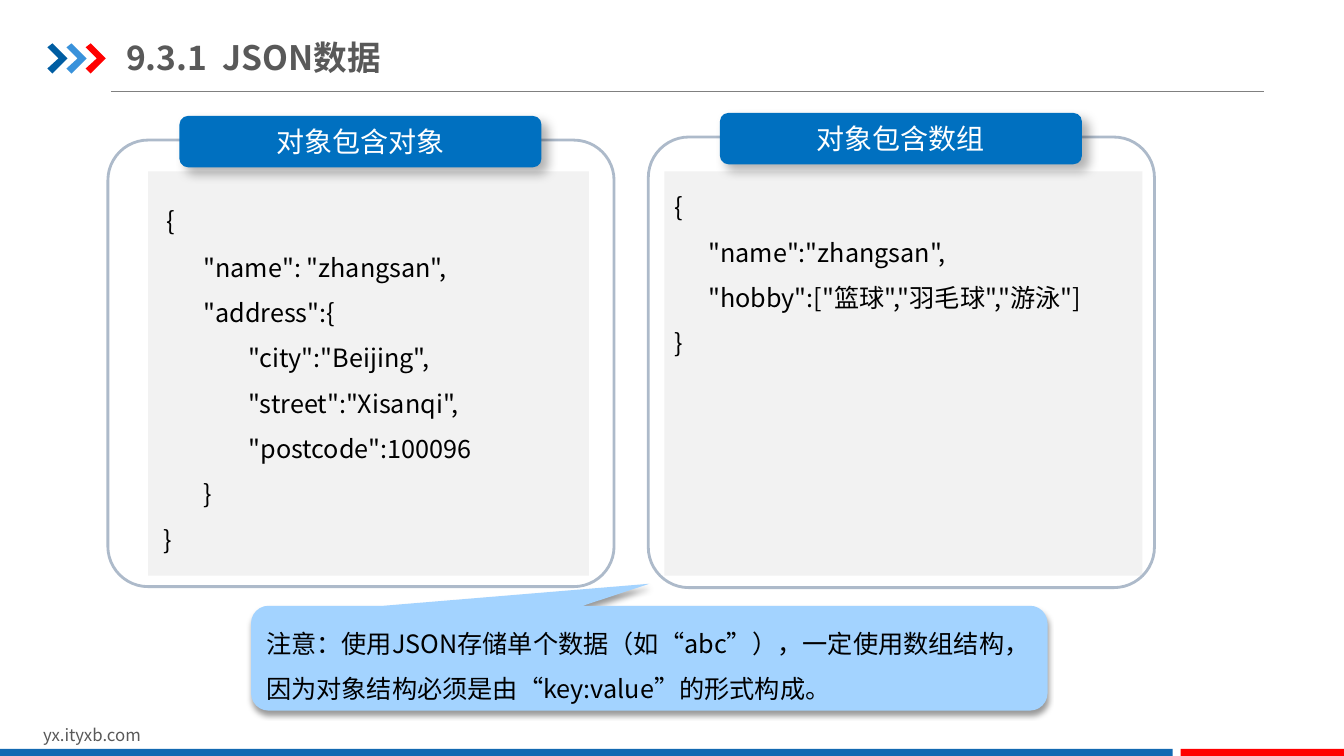
from dataclasses import dataclass
from typing import Optional

from lxml.etree import SubElement
from pptx import Presentation
from pptx.dml.color import RGBColor
from pptx.enum.shapes import MSO_CONNECTOR, MSO_SHAPE as SHAPE
from pptx.enum.text import MSO_ANCHOR as ANCHOR, MSO_AUTO_SIZE, PP_ALIGN as ALIGN
from pptx.oxml.ns import qn
from pptx.shapes.autoshape import Shape
from pptx.slide import Slide
from pptx.text.text import TextFrame
from pptx.util import Emu, Pt

PX = 9144  # 100 px to the inch
SANS, SERIF = "Noto Sans CJK SC", "Times New Roman"

BLACK = RGBColor(0x00, 0x00, 0x00)
WHITE = RGBColor(0xFF, 0xFF, 0xFF)
GREY = RGBColor(0x59, 0x59, 0x59)
RULE = RGBColor(0x80, 0x80, 0x80)
PANEL = RGBColor(0xF2, 0xF2, 0xF2)
FRAME = RGBColor(0xAD, 0xBA, 0xCA)
BADGE = RGBColor(0x00, 0x70, 0xC0)
NOTE = RGBColor(0xA3, 0xD3, 0xFF)
NAVY = RGBColor(0x00, 0x5D, 0xA2)
SKY = RGBColor(0x39, 0x92, 0xDB)
RED = RGBColor(0xFF, 0x00, 0x00)
BAR = RGBColor(0x13, 0x69, 0xB2)


@dataclass(frozen=True)
class Box:
    left: int
    top: int
    width: int
    height: int

    def emu(self) -> tuple[Emu, ...]:
        return tuple(Emu(v * PX) for v in (self.left, self.top, self.width, self.height))


@dataclass(frozen=True)
class Shadow:
    alpha: int  # percent
    blur: int  # points
    dist: int  # points
    angle: int  # degrees


@dataclass(frozen=True)
class Example:
    heading: str
    frame: Box
    panel: Box
    code: str
    lead: str = ""  # large serif space before the first brace


EXAMPLES = [
    Example("对象包含对象", Box(107, 139, 502, 443), Box(147, 170, 437, 401),
            """{
        "name": "zhangsan",
        "address":{
                "city":"Beijing",
                "street":"Xisanqi",
                "postcode":100096
        }
 }""", lead=" "),
    Example("对象包含数组", Box(643, 136, 502, 447), Box(659, 170, 474, 401),
            """{
      "name":"zhangsan",
      "hobby":["篮球","羽毛球","游泳"]
}"""),
]
NOTE_TEXT = "注意：使用JSON存储单个数据（如“abc”），一定使用数组结构，因为对象结构必须是由“key:value”的形式构成。"
CHEVRON = [(0, 4), (5, 0), (20, 15), (5, 30), (0, 25), (11, 15)]


def write(tf: TextFrame, text: str, *, size: int, color: RGBColor, bold: bool = False,
          align: ALIGN = ALIGN.LEFT, anchor: ANCHOR = ANCHOR.TOP,
          spacing: Optional[float] = None, lead: str = "") -> None:
    tf.word_wrap = True
    tf.auto_size = MSO_AUTO_SIZE.NONE
    tf.vertical_anchor = anchor
    for i, line in enumerate(text.split("\n")):
        p = tf.add_paragraph() if i else tf.paragraphs[0]
        p.alignment = align
        if spacing:
            p.line_spacing = spacing
        if lead and i == 0:
            r = p.add_run()
            r.text = lead
            r.font.name, r.font.size = SERIF, Pt(24)
        r = p.add_run()
        r.text = line
        r.font.name, r.font.size, r.font.bold = SANS, Pt(size), bold
        r.font.color.rgb = color
        SubElement(r.font._element, qn("a:ea"), typeface=SANS)


def style(s: Shape, fill: Optional[RGBColor] = None, line: Optional[RGBColor] = None,
          shadow: Optional[Shadow] = None) -> Shape:
    if fill is None:
        s.fill.background()
    else:
        s.fill.solid()
        s.fill.fore_color.rgb = fill
    if line is None:
        s.line.fill.background()
    else:
        s.line.color.rgb = line
        s.line.width = Pt(2)
    s.shadow.inherit = False
    if shadow:
        effects = s._element.spPr.find(qn("a:effectLst"))
        outer = SubElement(effects, qn("a:outerShdw"), blurRad=str(Pt(shadow.blur)),
                           dist=str(Pt(shadow.dist)), dir=str(shadow.angle * 60000),
                           algn="tl", rotWithShape="0")
        color = SubElement(outer, qn("a:srgbClr"), val=str(BLACK))
        SubElement(color, qn("a:alpha"), val=str(shadow.alpha * 1000))
    return s


def add_box(slide: Slide, kind: SHAPE, box: Box, **look) -> Shape:
    return style(slide.shapes.add_shape(kind, *box.emu()), **look)


def add_header(slide: Slide) -> None:
    title = slide.shapes.title
    title.left, title.top, title.width, title.height = Box(125, 29, 590, 55).emu()
    tf = title.text_frame
    tf.margin_left = tf.margin_right = 0
    write(tf, "9.3.1  JSON数据", size=24, color=GREY, bold=True, anchor=ANCHOR.MIDDLE)

    rule = slide.shapes.add_connector(MSO_CONNECTOR.STRAIGHT, *(Emu(v * PX) for v in (110, 91, 1254, 91)))
    rule.line.color.rgb = RULE
    rule.line.width = Pt(0.75)
    SubElement(rule._element.spPr, qn("a:effectLst"))

    for i, color in enumerate((NAVY, SKY, RED)):
        points = [(47 + 19 * i + x, 43 + y) for x, y in CHEVRON]
        builder = slide.shapes.build_freeform(*points[0], scale=PX)
        builder.add_line_segments(points[1:], close=True)
        style(builder.convert_to_shape(), fill=color)


def add_footer(slide: Slide) -> None:
    tf = slide.shapes.add_textbox(*Box(33, 714, 318, 30).emu()).text_frame
    write(tf, "yx.ityxb.com", size=12, color=GREY)
    add_box(slide, SHAPE.RECTANGLE, Box(0, 743, 1163, 9), fill=BAR)
    add_box(slide, SHAPE.RECTANGLE, Box(1171, 743, 163, 9), fill=RED)


def add_code(slide: Slide, ex: Example) -> None:
    s = add_box(slide, SHAPE.RECTANGLE, ex.panel, fill=PANEL)
    write(s.text_frame, ex.code, size=18, color=BLACK, spacing=1.5, lead=ex.lead)


def add_note(slide: Slide) -> None:
    s = add_box(slide, SHAPE.ROUNDED_RECTANGULAR_CALLOUT, Box(249, 601, 790, 104),
                fill=NOTE, shadow=Shadow(40, 4, 3, 90))
    s.adjustments[0], s.adjustments[1] = 0, -0.71
    write(s.text_frame, NOTE_TEXT, size=18, color=BLACK, spacing=1.5, anchor=ANCHOR.MIDDLE)


def add_frame(slide: Slide, ex: Example) -> None:
    s = add_box(slide, SHAPE.ROUNDED_RECTANGLE, ex.frame, line=FRAME)
    s.adjustments[0] = 0.09
    badge = Box(ex.frame.left + 71, ex.frame.top - 24, 359, 51)
    s = add_box(slide, SHAPE.ROUNDED_RECTANGLE, badge, fill=BADGE, shadow=Shadow(30, 8, 6, 45))
    write(s.text_frame, ex.heading, size=20, color=WHITE, align=ALIGN.CENTER, anchor=ANCHOR.MIDDLE)


def main() -> None:
    prs = Presentation()
    prs.slide_width, prs.slide_height = Emu(1333 * PX), Emu(750 * PX)
    slide = prs.slides.add_slide(prs.slide_layouts[5])
    add_header(slide)
    add_footer(slide)
    for ex in EXAMPLES:
        add_code(slide, ex)
    add_note(slide)
    # Frames and badges lie over the code and the note
    for ex in EXAMPLES:
        add_frame(slide, ex)
    prs.save("out.pptx")


if __name__ == "__main__":
    main()
